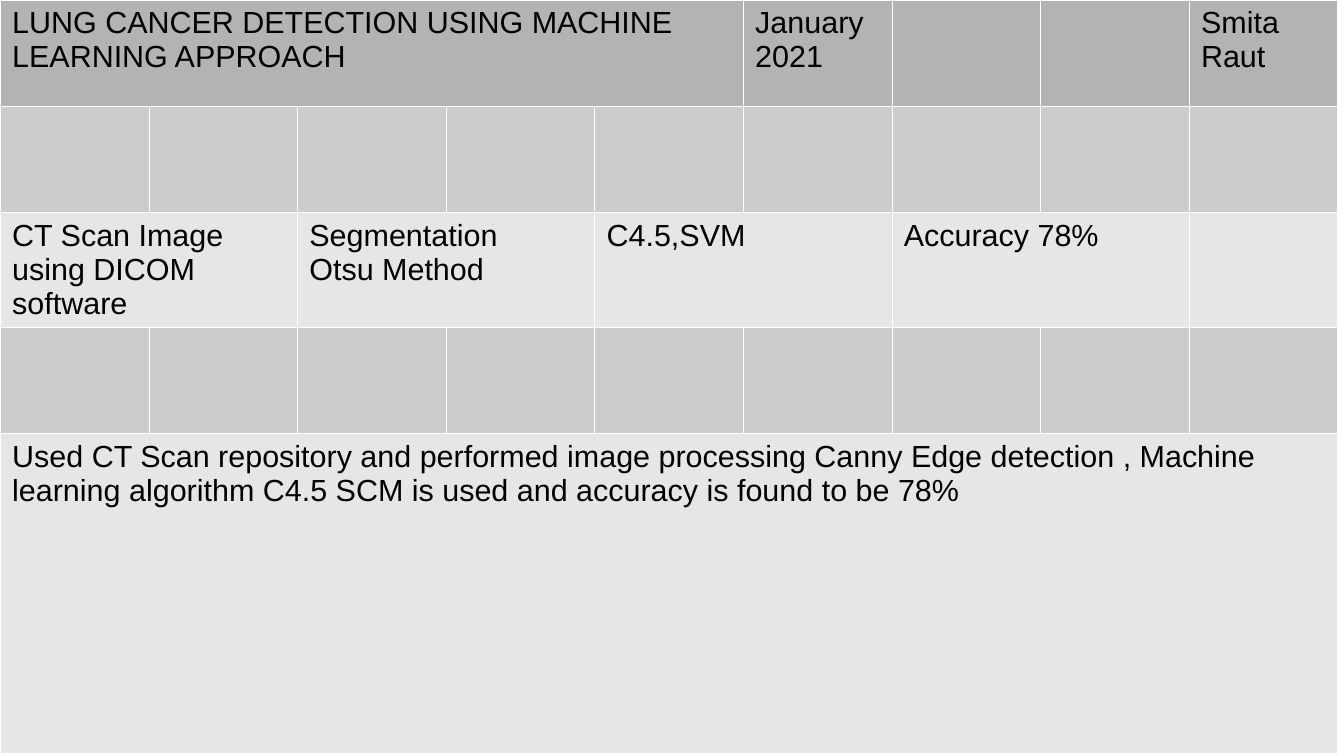
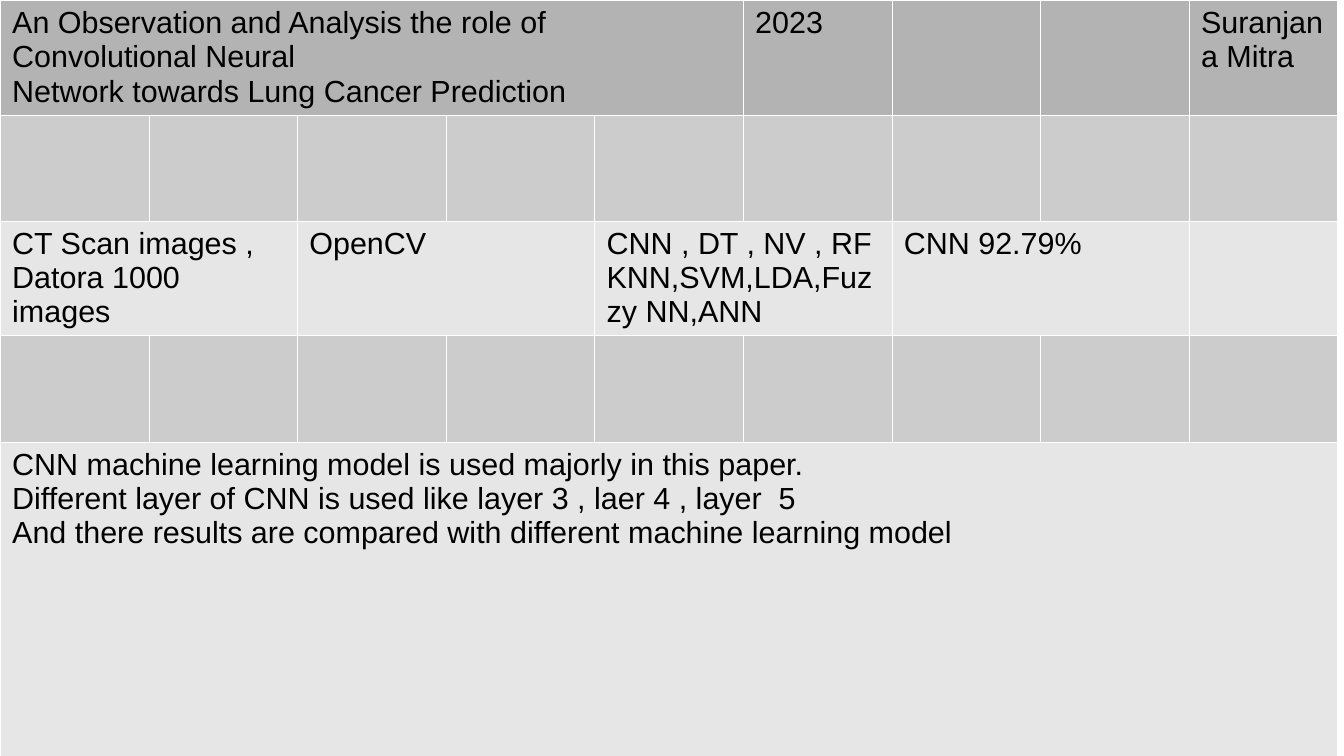
from dataclasses import dataclass

from lxml import etree
from pptx import Presentation
from pptx.dml.color import RGBColor
from pptx.oxml.ns import qn
from pptx.util import Inches, Pt

BLANK_LAYOUT = 6
BORDER_TAGS = ("a:lnL", "a:lnR", "a:lnT", "a:lnB")


@dataclass(frozen=True)
class Theme:
    header: str = "B3B3B3"
    spacer: str = "CCCCCC"
    body: str = "E6E6E6"
    border: str = "FFFFFF"
    text: str = "000000"
    font: str = "Arial"
    size: float = 18
    border_width: float = 0.06


THEME = Theme()
SLIDE_SIZE = (11.02, 6.2)
TABLE_BOX = (0, 0, 10.97, 6.11)
COLUMN_COUNT = 9
ROW_HEIGHTS = (0.87, 0.87, 0.87, 0.87, 2.62)
ROW_FILLS = (THEME.header, THEME.spacer, THEME.body, THEME.spacer, THEME.body)
CELL_MARGINS = {"margin_left": 0.1, "margin_right": 0.1,
                "margin_top": 0.05, "margin_bottom": 0.05}

# Field: (row, first column, columns spanned)
FIELDS = {
    "title": (0, 0, 5),
    "date": (0, 5, 1),
    "author": (0, 8, 1),
    "dataset": (2, 0, 2),
    "processing": (2, 2, 2),
    "algorithms": (2, 4, 2),
    "result": (2, 6, 2),
    "summary": (4, 0, 9),
}

PAPERS = (
    {
        "title": ["LUNG CANCER DETECTION USING MACHINE", "LEARNING APPROACH"],
        "date": ["January 2021"],
        "author": ["Smita Raut"],
        "dataset": ["CT Scan Image using DICOM software"],
        "processing": ["Segmentation", "Otsu Method"],
        "algorithms": ["C4.5,SVM"],
        "result": ["Accuracy 78%"],
        "summary": ["Used CT Scan repository and performed image processing "
                    "Canny Edge detection , Machine learning algorithm C4.5 "
                    "SCM is used and accuracy is found to be 78%"],
    },
    {
        "title": ["An Observation and Analysis the role of Convolutional Neural",
                  "Network towards Lung Cancer Prediction"],
        "date": ["2023"],
        "author": ["Suranjana Mitra"],
        "dataset": ["CT Scan images ,", "Datora 1000 images"],
        "processing": ["OpenCV"],
        "algorithms": ["CNN , DT , NV , RF", "KNN,SVM,LDA,Fuzzy NN,ANN"],
        "result": ["CNN 92.79%"],
        "summary": [
            "CNN machine learning model is used majorly in this paper.",
            "Different layer of CNN is used like layer 3 , laer 4 , layer  5",
            "And there results are compared with different machine learning model",
        ],
    },
)


def add_borders(cell):
    properties = cell._tc.get_or_add_tcPr()
    for index, tag in enumerate(BORDER_TAGS):
        line = etree.Element(qn(tag), w=str(Pt(THEME.border_width)))
        fill = etree.SubElement(line, qn("a:solidFill"))
        etree.SubElement(fill, qn("a:srgbClr"), val=THEME.border)
        properties.insert(index, line)


def style_cell(cell, color):
    cell.fill.solid()
    cell.fill.fore_color.rgb = RGBColor.from_string(color)
    for name, value in CELL_MARGINS.items():
        setattr(cell, name, Inches(value))
    add_borders(cell)


def write_field(cell, lines):
    cell.text = "\n".join(lines)
    for paragraph in cell.text_frame.paragraphs:
        font = paragraph.runs[0].font
        for name, value in {"name": THEME.font, "size": Pt(THEME.size)}.items():
            setattr(font, name, value)
        font.color.rgb = RGBColor.from_string(THEME.text)


def add_paper_table(slide, paper, box):
    left, top, width, height = box
    frame = slide.shapes.add_table(len(ROW_HEIGHTS), COLUMN_COUNT,
                                   *(Inches(length) for length in box))
    table = frame.table
    table.first_row = table.horz_banding = False

    # Equal columns, rows in proportion to the box
    for column in table.columns:
        column.width = Inches(width / COLUMN_COUNT)
    scale = height / sum(ROW_HEIGHTS)
    for row, row_height, color in zip(table.rows, ROW_HEIGHTS, ROW_FILLS):
        row.height = Inches(row_height * scale)
        for cell in row.cells:
            style_cell(cell, color)

    # Merged fields and their text
    for field, (row, column, span) in FIELDS.items():
        cell = table.cell(row, column)
        if span > 1:
            cell.merge(table.cell(row, column + span - 1))
        write_field(cell, paper[field])


def main():
    deck = Presentation()
    deck.slide_width, deck.slide_height = (Inches(side) for side in SLIDE_SIZE)
    for paper in PAPERS:
        slide = deck.slides.add_slide(deck.slide_layouts[BLANK_LAYOUT])
        add_paper_table(slide, paper, TABLE_BOX)
    deck.save("out.pptx")


if __name__ == "__main__":
    main()
